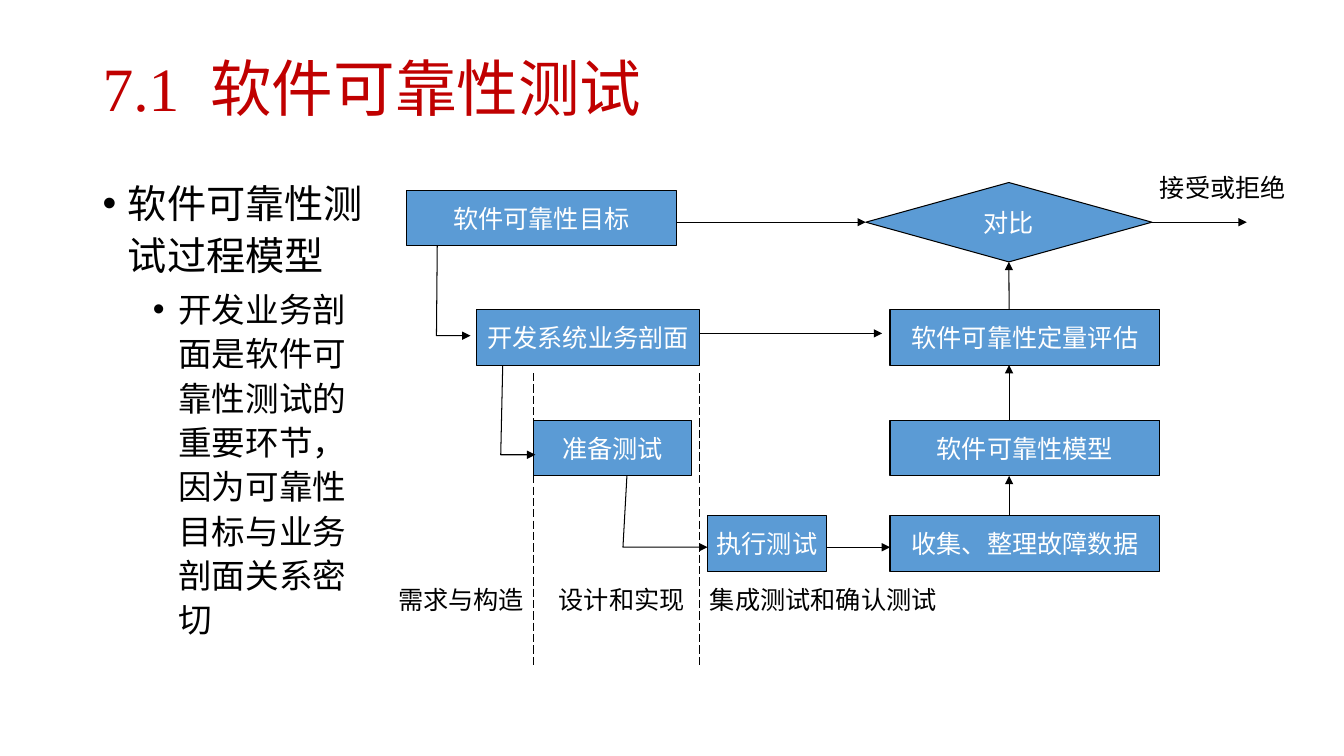
from pptx import Presentation
from pptx import util as u
from pptx.dml.color import RGBColor
from pptx.enum import dml, shapes, text
from pptx.oxml.ns import qn
from lxml import etree

BLACK, WHITE, RED, BLUE = "000000", "FFFFFF", "C00000", "5B9BD5"
SERIF, SANS = "Times New Roman", "Calibri"
BOX_H = 1.4


def colour(value):
    return RGBColor.from_string(value)


def place(sp, x, y, w, h):
    sp.left, sp.top, sp.width, sp.height = (u.Cm(v) for v in (x, y, w, h))


def add_run(p, words, size, hue=BLACK, font=SERIF):
    r = p.add_run()
    r.text = words
    r.font.size = u.Pt(size)
    r.font.name = font
    r.font.color.rgb = colour(hue)
    return r


def outline(sp, arrow=False, dashed=False):
    sp.line.color.rgb = colour(BLACK)
    sp.line.width = u.Pt(0.75)
    if dashed:
        sp.line.dash_style = dml.MSO_LINE.LONG_DASH
    if arrow:
        ln = sp._element.spPr.find(qn("a:ln"))
        etree.SubElement(ln, qn("a:tailEnd"), type="triangle")


def add_node(s, words, x, y, w, h=BOX_H, kind=shapes.MSO_SHAPE.RECTANGLE):
    sp = s.shapes.add_shape(kind, *(u.Cm(v) for v in (x, y, w, h)))
    sp.shadow.inherit = False
    sp.fill.solid()
    sp.fill.fore_color.rgb = colour(BLUE)
    outline(sp)
    tf = sp.text_frame
    tf.word_wrap = False
    tf.vertical_anchor = text.MSO_ANCHOR.MIDDLE
    p = tf.paragraphs[0]
    p.alignment = text.PP_ALIGN.CENTER
    add_run(p, words, 18, WHITE)
    return sp


def add_line(s, x1, y1, x2, y2, arrow=True, dashed=False):
    line = s.shapes.add_connector(
        shapes.MSO_CONNECTOR.STRAIGHT, *(u.Cm(v) for v in (x1, y1, x2, y2)))
    outline(line, arrow, dashed)
    etree.SubElement(line._element.spPr, qn("a:effectLst"))
    return line


def add_step(s, x, y, corner_x, corner_y, end_x):
    builder = s.shapes.build_freeform(u.Cm(x), u.Cm(y))
    builder.add_line_segments(
        [(u.Cm(corner_x), u.Cm(corner_y)), (u.Cm(end_x), u.Cm(corner_y))], close=False)
    sp = builder.convert_to_shape()
    sp.shadow.inherit = False
    sp.fill.background()
    outline(sp, arrow=True)


def add_label(s, words, x, y):
    # Box width follows the number of 18 pt characters plus the side margins
    width = len(words) * 0.635 + 0.51
    sp = s.shapes.add_textbox(u.Cm(x), u.Cm(y), u.Cm(width), u.Cm(1.02))
    tf = sp.text_frame
    tf.word_wrap = False
    tf.auto_size = text.MSO_AUTO_SIZE.SHAPE_TO_FIT_TEXT
    add_run(tf.paragraphs[0], words, 18)


def fill_title(sp):
    place(sp, 2.33, 1.01, 29.21, 2.6)
    tf = sp.text_frame
    tf.auto_size = text.MSO_AUTO_SIZE.NONE
    tf.vertical_anchor = text.MSO_ANCHOR.MIDDLE
    p = tf.paragraphs[0]
    p.alignment = text.PP_ALIGN.LEFT
    p.line_spacing = 0.9
    add_run(p, "7.1", 44, RED)
    gap = add_run(p, " ", 44, RED)
    gap.font._element.set("spc", "1100")  # widens the gap after the number
    add_run(p, "软件可靠性测试", 44, RED)


def fill_body(sp, items):
    place(sp, 2.33, 4.27, 7.32, 12.88)
    tf = sp.text_frame
    tf.auto_size = text.MSO_AUTO_SIZE.NONE
    for i, (level, words, size, margin, before) in enumerate(items):
        p = tf.paragraphs[0] if i == 0 else tf.add_paragraph()
        pPr = p._p.get_or_add_pPr()
        pPr.set("marL", str(u.Cm(margin)))
        pPr.set("indent", str(-u.Cm(0.64)))
        etree.SubElement(pPr, qn("a:buFont"), typeface="Arial")
        etree.SubElement(pPr, qn("a:buChar"), char="•")
        p.level = level
        p.alignment = text.PP_ALIGN.LEFT
        p.line_spacing = 1.1
        p.space_before = u.Pt(before)
        add_run(p, words, size, font=SANS)


def main():
    prs = Presentation()
    prs.slide_width, prs.slide_height = u.Cm(33.87), u.Cm(19.05)
    s = prs.slides.add_slide(prs.slide_layouts[1])

    # Title and list
    fill_title(s.shapes.title)
    fill_body(s.placeholders[1], [
        (0, "软件可靠性测试过程模型", 28, 0.64, 0),
        (1, "开发业务剖面是软件可靠性测试的重要环节，因为可靠性目标与业务剖面关系密切",
         24, 1.91, 5),
    ])

    # Process boxes and decision
    for words, x, y, w in [
        ("软件可靠性目标", 10.24, 4.8, 6.8),
        ("开发系统业务剖面", 12.02, 7.8, 5.6),
        ("准备测试", 13.44, 10.59, 3.99),
        ("软件可靠性定量评估", 22.43, 7.8, 6.8),
        ("软件可靠性模型", 22.43, 10.59, 6.8),
        ("执行测试", 17.83, 13, 3),
        ("收集、整理故障数据", 22.43, 13, 6.8),
    ]:
        add_node(s, words, x, y, w)
    compare = add_node(s, "对比", 21.82, 4.6, 7.21, 2, shapes.MSO_SHAPE.DIAMOND)

    # Steps down from one stage to the next
    add_step(s, 11.02, 6.2, 11, 8.46, 11.86)
    add_step(s, 12.67, 9.2, 12.62, 11.46, 13.49)
    add_step(s, 15.8, 11.99, 15.7, 13.79, 17.83)

    # Straight arrows
    add_line(s, 17.62, 8.4, 22.23, 8.4)
    add_line(s, 20.83, 13.79, 22.43, 13.79)
    add_line(s, 25.43, 13, 25.43, 11.99)
    add_line(s, 25.43, 10.59, 25.43, 9.2)
    add_line(s, 25.43, 7.8, 25.43, 6.6).end_connect(compare, 2)
    add_line(s, 17.03, 5.6, 21.82, 5.6).end_connect(compare, 1)
    add_line(s, 29.03, 5.6, 31.42, 5.6).begin_connect(compare, 3)

    # Phase dividers and labels
    for x in (13.44, 17.62):
        add_line(s, x, 9.4, x, 16.8, arrow=False, dashed=True)
    for words, x, y in [
        ("需求与构造", 9.78, 14.6),
        ("设计和实现", 13.83, 14.6),
        ("集成测试和确认测试", 17.64, 14.6),
        ("接受或拒绝", 28.98, 4.22),
    ]:
        add_label(s, words, x, y)

    prs.save("out.pptx")


if __name__ == "__main__":
    main()
